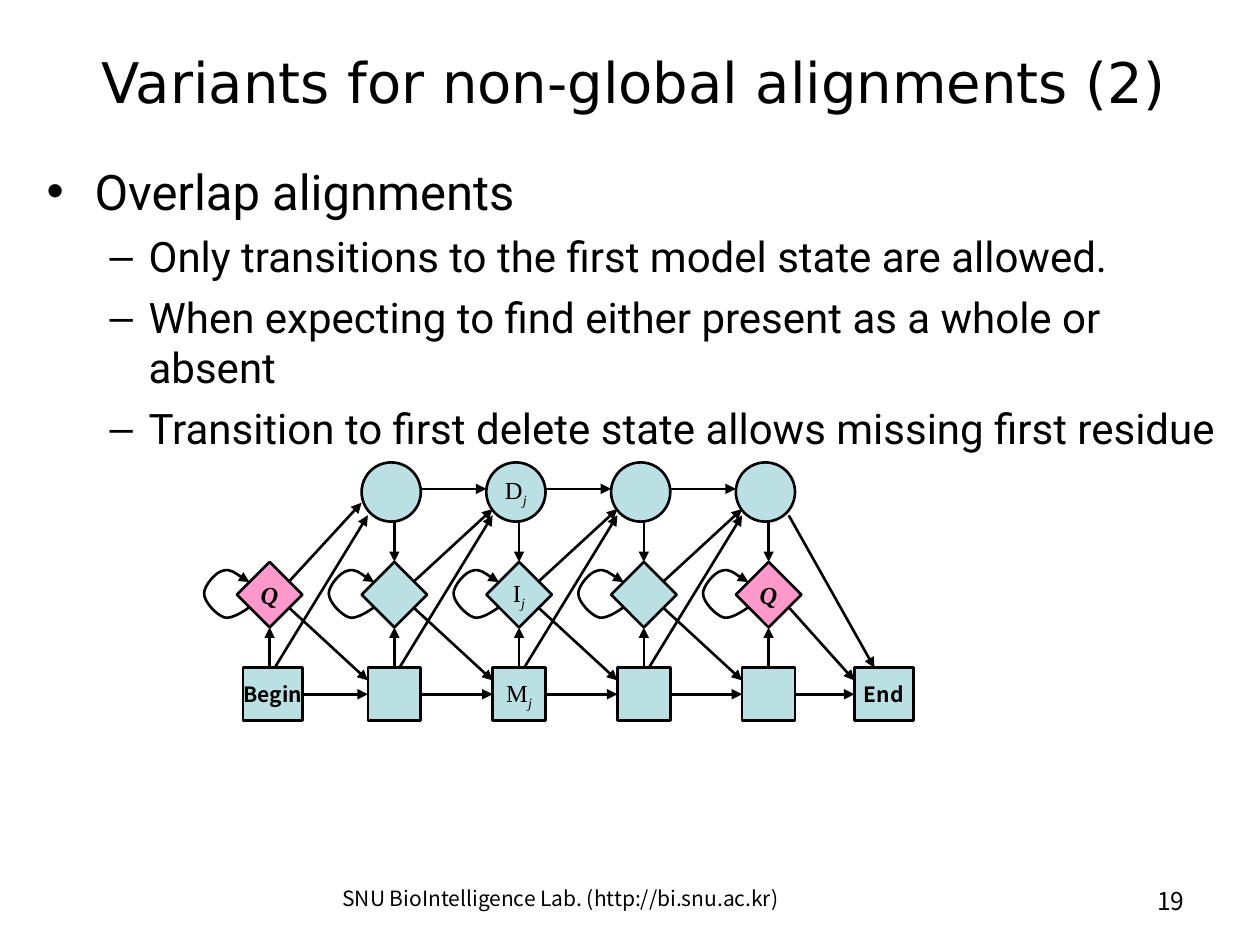
from pptx import Presentation
from pptx.dml.color import RGBColor
from pptx.enum.shapes import MSO_CONNECTOR, MSO_SHAPE
from pptx.enum.text import MSO_ANCHOR, MSO_AUTO_SIZE, PP_ALIGN
from pptx.oxml.ns import qn
from pptx.util import Inches, Pt
from lxml.etree import SubElement

COLORS = {"black": "000000", "state": "BBE0E3", "flank": "FF99CC"}
BLACK = RGBColor.from_string(COLORS["black"])
SERIF = "Times New Roman"
SANS = "Noto Sans CJK KR"


def format_font(font, name, size, bold=False, italic=False):
    font.name = name
    font.size = Pt(size)
    font.bold = bold
    font.italic = italic
    font.color.rgb = BLACK


def style_arrow(shape):
    shape.line.color.rgb = BLACK
    shape.line.width = Pt(1.5)
    SubElement(shape.line._get_or_add_ln(), qn("a:tailEnd"), type="triangle")


presentation = Presentation()
presentation.slide_width = Inches(10)
presentation.slide_height = Inches(7.5)
slide = presentation.slides.add_slide(presentation.slide_layouts[1])

title = slide.shapes.title
title.left, title.top = Inches(0.27), Inches(0.13)
title.width, title.height = Inches(9.53), Inches(1.02)
title.text_frame.text = "Variants for non-global alignments (2)"
title.text_frame.auto_size = MSO_AUTO_SIZE.NONE
title.text_frame.vertical_anchor = MSO_ANCHOR.MIDDLE
title.text_frame.paragraphs[0].alignment = PP_ALIGN.CENTER
format_font(title.text_frame.paragraphs[0].runs[0].font, "DejaVu Sans", 32)

body = slide.placeholders[1]
body.left, body.top = Inches(0.27), Inches(1.23)
body.width, body.height = Inches(9.53), Inches(5.67)
body.text_frame.text = "\n".join([
    "Overlap alignments",
    "Only transitions to the first model state are allowed.",
    "When expecting to find either present as a whole or absent",
    "Transition to first delete state allows missing first residue",
])
body.text_frame.auto_size = MSO_AUTO_SIZE.NONE
for index, paragraph in enumerate(body.text_frame.paragraphs):
    level, margin, hanging, size, space = (1, 0.81, 0.31, 24, 6) if index else (0, 0.38, 0.38, 28, 0)
    paragraph.level = level
    paragraph.space_before = Pt(space)
    properties = paragraph._p.get_or_add_pPr()
    properties.set("marL", str(Inches(margin)))
    properties.set("indent", str(-Inches(hanging)))
    format_font(paragraph.runs[0].font, "Roboto", size)

FIRST_LEFT, PITCH, COLUMNS = 1.93, 0.99, 5
column_lefts = [FIRST_LEFT + PITCH * column for column in range(COLUMNS)]
LAST = COLUMNS - 1
END_LEFT = 6.78

states = [(MSO_SHAPE.RECTANGLE, END_LEFT, 5.3, 0.47, 0.42, "state", "End")]
arrows = [
    (6.31, 5.51, END_LEFT, 5.51),
    (6.26, 4.82, END_LEFT, 5.4),
    (6.26, 4.09, 6.94, 5.3),
]
for column, left in enumerate(column_lefts):
    following = left + PITCH
    center = left + 0.21
    is_flank = column in (0, LAST)
    match_width = 0.47 if column == 0 else 0.42
    match_label = {0: "Begin", 2: "Mj"}.get(column, "")
    insert_label = "Q" if is_flank else {2: "Ij"}.get(column, "")
    states.append((MSO_SHAPE.RECTANGLE, left, 5.3, match_width, 0.42, "state", match_label))
    states.append((MSO_SHAPE.DIAMOND, left - 0.05, 4.46, 0.52, 0.52,
                   "flank" if is_flank else "state", insert_label))
    arrows.append((center, 5.3, center, 4.98))
    if column > 0:
        states.append((MSO_SHAPE.OVAL, left - 0.05, 3.67, 0.47, 0.47, "state",
                       "Dj" if column == 2 else ""))
        arrows.append((center, 4.14, center, 4.46))
    if column < LAST:
        arrows.append((left + match_width, 5.51, following, 5.51))
        arrows.append((left + 0.36, 4.82, following, 5.4))
        arrows.append((left + 0.25, 5.3, following, 4.09))
        if column == 0:
            arrows.append((left + 0.36, 4.62, following - 0.05, 3.99))
        else:
            arrows.append((left + 0.36, 4.62, following, 4.04))
            arrows.append((left + 0.42, 3.88, following - 0.05, 3.88))

for kind, left, top, width, height, color, label in states:
    state = slide.shapes.add_shape(kind, Inches(left), Inches(top), Inches(width), Inches(height))
    state.shadow.inherit = False
    state.fill.solid()
    state.fill.fore_color.rgb = RGBColor.from_string(COLORS[color])
    state.line.color.rgb = BLACK
    state.line.width = Pt(1.5)
    if not label:
        continue
    state.text_frame.word_wrap = False
    state.text_frame.vertical_anchor = MSO_ANCHOR.MIDDLE
    paragraph = state.text_frame.paragraphs[0]
    paragraph.alignment = PP_ALIGN.CENTER
    if label in ("Begin", "End"):
        paragraph.text = label
        format_font(paragraph.runs[0].font, SANS, 12, bold=True)
    elif label == "Q":
        paragraph.text = label
        format_font(paragraph.runs[0].font, SERIF, 14, bold=True, italic=True)
    else:
        for letter, is_subscript in zip(label, (False, True)):
            run = paragraph.add_run()
            run.text = letter
            format_font(run.font, SERIF, 14, italic=is_subscript)
            if is_subscript:
                run.font._element.set("baseline", "-25000")

for start_x, start_y, end_x, end_y in arrows:
    arrow = slide.shapes.add_connector(
        MSO_CONNECTOR.STRAIGHT, Inches(start_x), Inches(start_y), Inches(end_x), Inches(end_y))
    style_arrow(arrow)
    SubElement(arrow._element.spPr, qn("a:effectLst"))

LOOP_START = (0.05, 4.82)
LOOP_CONTROLS = [
    (0.02, 4.84), (-0.09, 4.92), (-0.15, 4.9),
    (-0.21, 4.88), (-0.31, 4.78), (-0.31, 4.71),
    (-0.31, 4.65), (-0.22, 4.54), (-0.16, 4.53),
    (-0.1, 4.51), (0.01, 4.6), (0.05, 4.62),
]
for left in column_lefts:
    points = [(Inches(left + x), Inches(y)) for x, y in [LOOP_START] + LOOP_CONTROLS]
    builder = slide.shapes.build_freeform(*points[0])
    builder.add_line_segments(points[1:], close=False)
    loop = builder.convert_to_shape()
    loop.shadow.inherit = False
    loop.fill.background()
    style_arrow(loop)
    segments = list(loop._element.iter(qn("a:lnTo")))
    outline = segments[0].getparent()
    for first in range(0, len(segments), 3):
        curve = SubElement(outline, qn("a:cubicBezTo"))
        for segment in segments[first:first + 3]:
            curve.append(segment[0])
            outline.remove(segment)

footers = [
    (1.85, 5.2, "SNU BioIntelligence Lab. (http://bi.snu.ac.kr)", 12, PP_ALIGN.CENTER),
    (7.17, 2.33, "19", 14, PP_ALIGN.RIGHT),
]
for left, width, text, size, alignment in footers:
    footer = slide.shapes.add_textbox(Inches(left), Inches(6.98), Inches(width), Inches(0.37))
    footer.text_frame.word_wrap = True
    footer.text_frame.text = text
    paragraph = footer.text_frame.paragraphs[0]
    paragraph.alignment = alignment
    format_font(paragraph.runs[0].font, SANS, size)

presentation.save("out.pptx")
